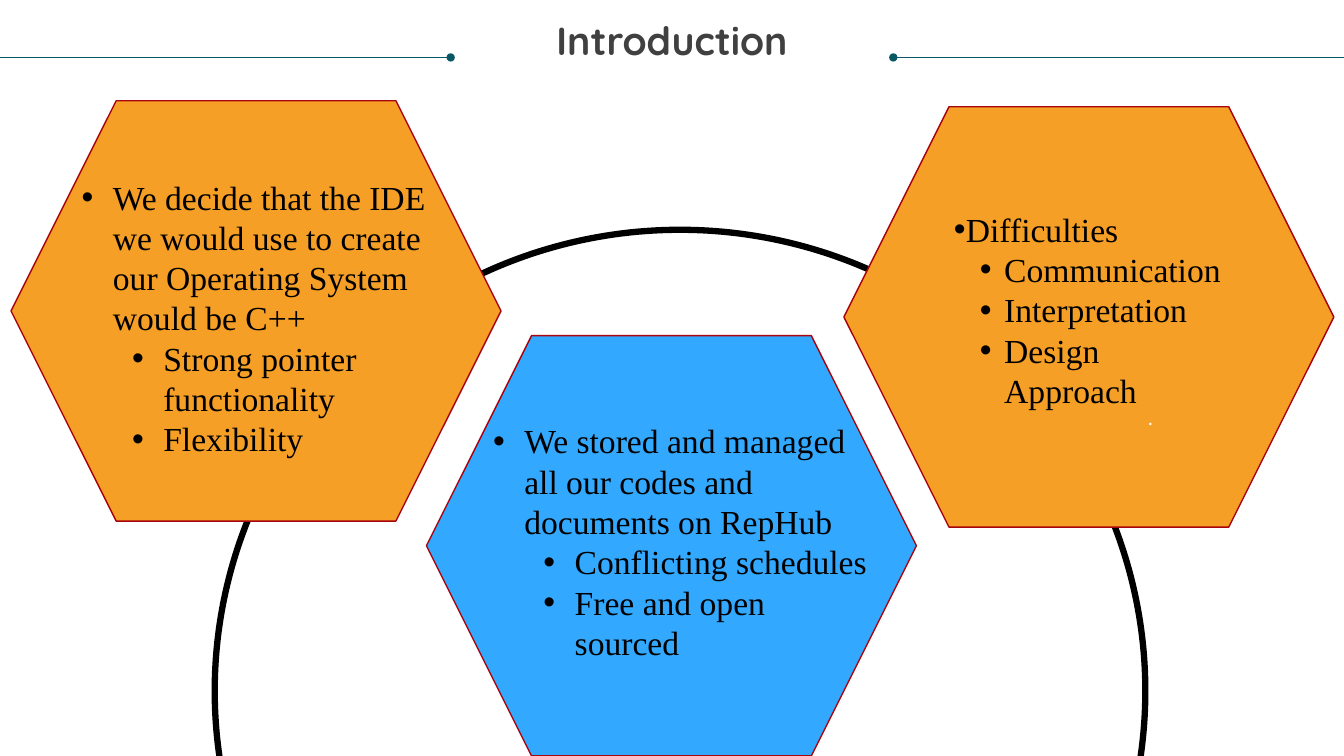
"""Build the Introduction slide: three hexagons of bullet lists on a ring."""
from dataclasses import dataclass

from lxml.etree import SubElement
from pptx import Presentation
from pptx.dml.color import RGBColor
from pptx.enum.shapes import MSO_CONNECTOR as Connector, MSO_SHAPE as Shape
from pptx.enum.text import MSO_ANCHOR as Anchor, MSO_AUTO_SIZE as AutoSize, PP_ALIGN as Align
from pptx.oxml.ns import qn
from pptx.util import Inches, Pt


@dataclass(frozen=True)
class Theme:
    white: str = "FFFFFF"
    black: str = "000000"
    orange: str = "F59F26"
    blue: str = "32A9FF"
    border: str = "A7040E"
    teal: str = "085764"
    gray: str = "404040"
    title_font: str = "Quicksand"
    body_font: str = "Times New Roman"
    dot_font: str = "Lato"
    title_size: float = 28
    body_size: float = 24
    dot_size: float = 14
    body_spacing: float = 28.8


THEME = Theme()
WIDE_INDENTS = [(0.31, 0.31), (0.81, 0.31)]
TIGHT_INDENTS = [(0.12, 0.12), (0.5, 0.24)]
TITLE = "Introduction"
RING = (2.13, 2.28, 9.23, 9.15)
HEXAGON_SIZE = (4.86, 4.17)
RULE_Y = 0.57
RULES = [(8.86, 13.33), (4.47, 0)]
TOPICS = [
    {"corner": (8.37, 1.06), "fill": THEME.orange, "text_box": (9.36, 2.02, 3, 2.12),
     "indents": TIGHT_INDENTS, "heading": "Difficulties",
     "points": ["Communication", "Interpretation", "Design Approach"]},
    {"corner": (4.23, 3.33), "fill": THEME.blue, "text_box": (4.79, 4.12, 3.91, 3.23),
     "indents": WIDE_INDENTS,
     "heading": "We stored and managed all our codes and documents on RepHub",
     "points": ["Conflicting schedules", "Free and open sourced"]},
    {"corner": (0.11, 1), "fill": THEME.orange, "text_box": (0.71, 1.7, 3.85, 3.23),
     "indents": WIDE_INDENTS,
     "heading": "We decide that the IDE we would use to create our Operating System would be C++",
     "points": ["Strong pointer functionality", "Flexibility"]},
]


def color(value):
    return RGBColor.from_string(value)


def inches(values):
    return [Inches(value) for value in values]


def place(box, bounds):
    box.left, box.top, box.width, box.height = inches(bounds)


def style(para, font, size, shade, bold=False):
    para.font.name, para.font.size, para.font.bold = font, Pt(size), bold
    para.font.color.rgb = color(shade)


def prepare(box, margins=(0, 0, 0, 0)):
    frame = box.text_frame
    frame.word_wrap, frame.auto_size = True, AutoSize.NONE
    frame.vertical_anchor = Anchor.TOP
    (frame.margin_left, frame.margin_top,
     frame.margin_right, frame.margin_bottom) = inches(margins)
    return frame


def add_shape(page, kind, bounds, fill, line, weight):
    shape = page.shapes.add_shape(kind, *inches(bounds))
    shape.shadow.inherit = False
    shape.fill.solid()
    shape.fill.fore_color.rgb = color(fill)
    shape.line.color.rgb = color(line)
    shape.line.width = Pt(weight)


def add_rule(page, start, end):
    rule = page.shapes.add_connector(
        Connector.STRAIGHT, *inches((start, RULE_Y, end, RULE_Y)))
    rule.line.color.rgb = color(THEME.teal)
    rule.line.width = Pt(0.5)
    SubElement(rule.line._get_or_add_ln(), qn("a:headEnd"), type="oval")
    SubElement(rule.element.spPr, qn("a:effectLst"))


def fill_list(box, topic):
    place(box, topic["text_box"])
    frame = prepare(box, (0.1, 0.05, 0.1, 0.05))
    items = [(topic["heading"], 0)] + [(point, 1) for point in topic["points"]]
    frame.text = "\n".join(text for text, level in items)
    for para, (text, level) in zip(frame.paragraphs, items):
        para.level, para.alignment = level, Align.LEFT
        para.space_before = para.space_after = Pt(0)
        para.line_spacing = Pt(THEME.body_spacing)
        margin, hang = inches(topic["indents"][level])
        properties = para._p.get_or_add_pPr()
        properties.set("marL", str(margin))
        properties.set("indent", str(-hang))
        SubElement(properties, qn("a:buFont"), typeface="Arial")
        SubElement(properties, qn("a:buChar"), char="•")
        style(para, THEME.body_font, THEME.body_size, THEME.black)


def build():
    deck = Presentation()
    deck.slide_width, deck.slide_height = inches((13.33, 7.5))
    page = deck.slides.add_slide(deck.slide_layouts.get_by_name("Comparison"))
    title, *bodies, spare = list(page.placeholders)
    spare.element.getparent().remove(spare.element)

    add_shape(page, Shape.OVAL, RING, THEME.white, THEME.black, 4.5)
    for topic in TOPICS:
        add_shape(page, Shape.HEXAGON, topic["corner"] + HEXAGON_SIZE,
                  topic["fill"], THEME.border, 1)
    for start, end in RULES:
        add_rule(page, start, end)

    place(title, (0.25, 0.21, 12.83, 0.85))
    heading = prepare(title).paragraphs[0]
    heading.text, heading.alignment, heading.line_spacing = TITLE, Align.CENTER, 0.9
    style(heading, THEME.title_font, THEME.title_size, THEME.gray, bold=True)

    dot = page.shapes.add_textbox(*inches((10.45, 4, 1.92, 0.24)))
    para = prepare(dot).paragraphs[0]
    para.text, para.alignment, para.line_spacing = ".", Align.CENTER, Pt(19)
    style(para, THEME.dot_font, THEME.dot_size, THEME.white)

    for box, topic in zip(bodies, TOPICS):
        fill_list(box, topic)
    for box in [title, *bodies]:
        box.element.getparent().append(box.element)
    deck.save("out.pptx")


build()
